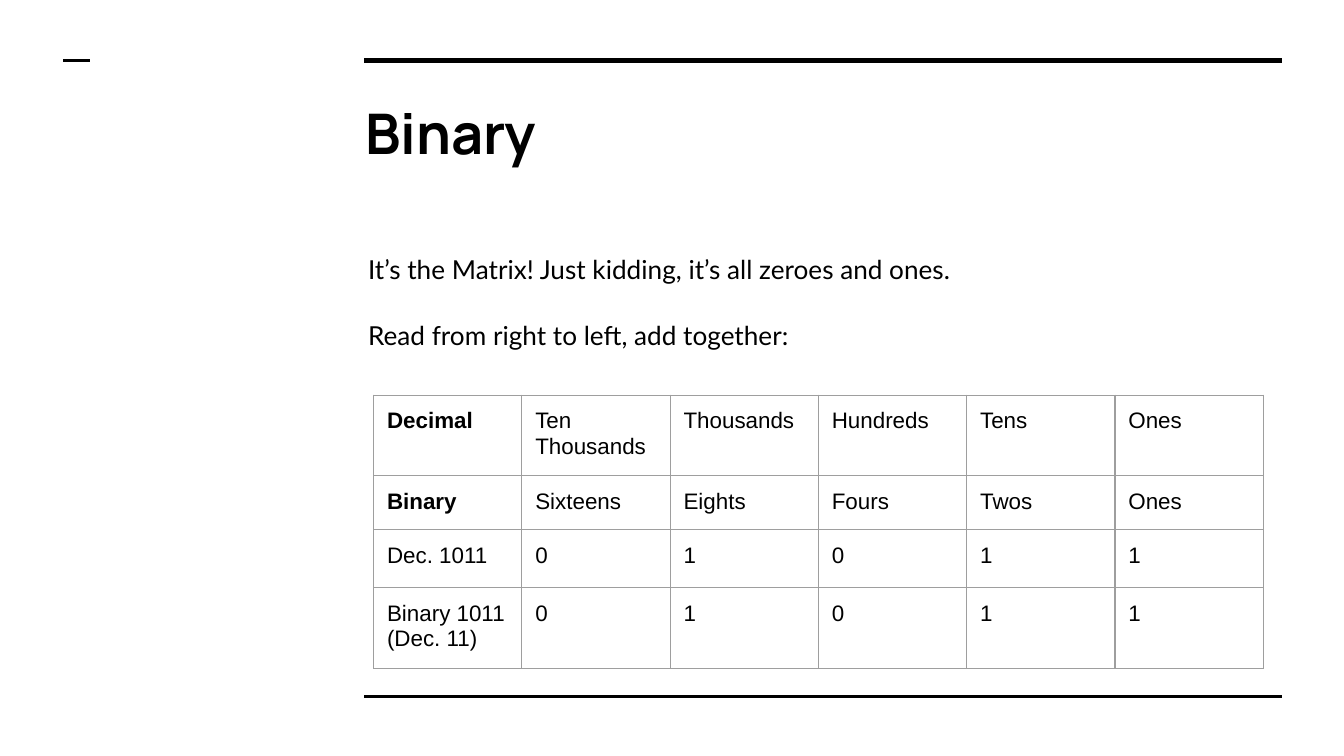
from lxml import etree
from pptx import Presentation
from pptx.dml.color import RGBColor
from pptx.enum.shapes import MSO_CONNECTOR
from pptx.enum.text import MSO_ANCHOR
from pptx.oxml.ns import qn
from pptx.util import Inches, Pt

STRAIGHT = MSO_CONNECTOR.STRAIGHT
TOP = MSO_ANCHOR.TOP

COLORS = {"ink": "000000", "paper": "FFFFFF", "grid": "9E9E9E"}
SLIDE_W = 10
SLIDE_H = SLIDE_W * 9 / 16
INSET = Inches(0.1)

# Rules: left, right, height on the slide, line width in points
RULES = [
    (2.71, 9.54, 0.45, 3),
    (2.71, 9.54, 5.18, 1.5),
    (0.47, 0.67, 0.45, 1.5),
]

INTRO = [
    "It’s the Matrix! Just kidding, it’s all zeroes and ones.",
    "Read from right to left, add together:",
]

PLACE_VALUES = [
    ["Decimal", "Ten Thousands", "Thousands", "Hundreds", "Tens", "Ones"],
    ["Binary", "Sixteens", "Eights", "Fours", "Twos", "Ones"],
    ["Dec. 1011", "0", "1", "0", "1", "1"],
    ["Binary 1011 (Dec. 11)", "0", "1", "0", "1", "1"],
]
ROW_HEIGHTS = [0, 0, 0.43, 0.43]  # minimums: rows grow to fit their text
BOLD_LABELS = ("Decimal", "Binary")


def color(name):
    return RGBColor.from_string(COLORS[name])


def style_text(paragraph, font_name, size, bold=False):
    for run in paragraph.runs:
        run.font.name = font_name
        run.font.size = Pt(size)
        run.font.bold = bold
        run.font.color.rgb = color("ink")


def set_insets(holder):
    holder.margin_left = holder.margin_right = INSET
    holder.margin_top = holder.margin_bottom = INSET


def add_rule(slide, left, right, y, width):
    rule = slide.shapes.add_connector(
        STRAIGHT, Inches(left), Inches(y), Inches(right), Inches(y))
    rule.line.color.rgb = color("ink")
    rule.line.width = Pt(width)
    etree.SubElement(rule._element.spPr, qn("a:effectLst"))


def add_text(slide, box, lines, font_name, size, bold=False, spacing=1.0, gap=0):
    holder = slide.shapes.add_textbox(*(Inches(v) for v in box))
    frame = holder.text_frame
    frame.word_wrap = True
    frame.vertical_anchor = TOP
    set_insets(frame)
    frame.text = "\n".join(lines)
    for index, paragraph in enumerate(frame.paragraphs):
        paragraph.line_spacing = spacing
        paragraph.space_before = Pt(gap if index else 0)
        style_text(paragraph, font_name, size, bold)


def add_borders(cell):
    properties = cell._tc.get_or_add_tcPr()
    for position, side in enumerate(("lnL", "lnR", "lnT", "lnB")):
        border = etree.Element(qn(f"a:{side}"), w=str(Pt(0.75)))
        fill = etree.SubElement(border, qn("a:solidFill"))
        etree.SubElement(fill, qn("a:srgbClr"), val=COLORS["grid"])
        properties.insert(position, border)


def add_place_value_table(slide, left, top, width, height):
    columns = len(PLACE_VALUES[0])
    frame = slide.shapes.add_table(
        len(PLACE_VALUES), columns, Inches(left), Inches(top),
        Inches(width), Inches(height))
    table = frame.table
    table.first_row = table.horz_banding = False
    for row, row_height, labels in zip(table.rows, ROW_HEIGHTS, PLACE_VALUES):
        row.height = Inches(row_height)
        for cell, label in zip(row.cells, labels):
            cell.text = label
            set_insets(cell)
            cell.fill.background()
            style_text(cell.text_frame.paragraphs[0], "Arial", 12,
                       label in BOLD_LABELS)
            add_borders(cell)
    frame.height = Inches(height)


def main():
    deck = Presentation()
    deck.slide_width, deck.slide_height = Inches(SLIDE_W), Inches(SLIDE_H)
    slide = deck.slides.add_slide(deck.slide_layouts[6])
    slide.background.fill.solid()
    slide.background.fill.fore_color.rgb = color("paper")

    # Frame lines
    for rule in RULES:
        add_rule(slide, *rule)

    # Title and introduction
    add_text(slide, (2.62, 0.63, 6.91, 0.69), ["Binary"], "Manrope", 30, bold=True)
    add_text(slide, (2.64, 1.75, 6.91, 3.28), INTRO, "Lato", 14,
             spacing=1.15, gap=16)

    # Place values
    add_place_value_table(slide, 2.78, 2.94, 6.62, 2.03)

    deck.save("out.pptx")


if __name__ == "__main__":
    main()
